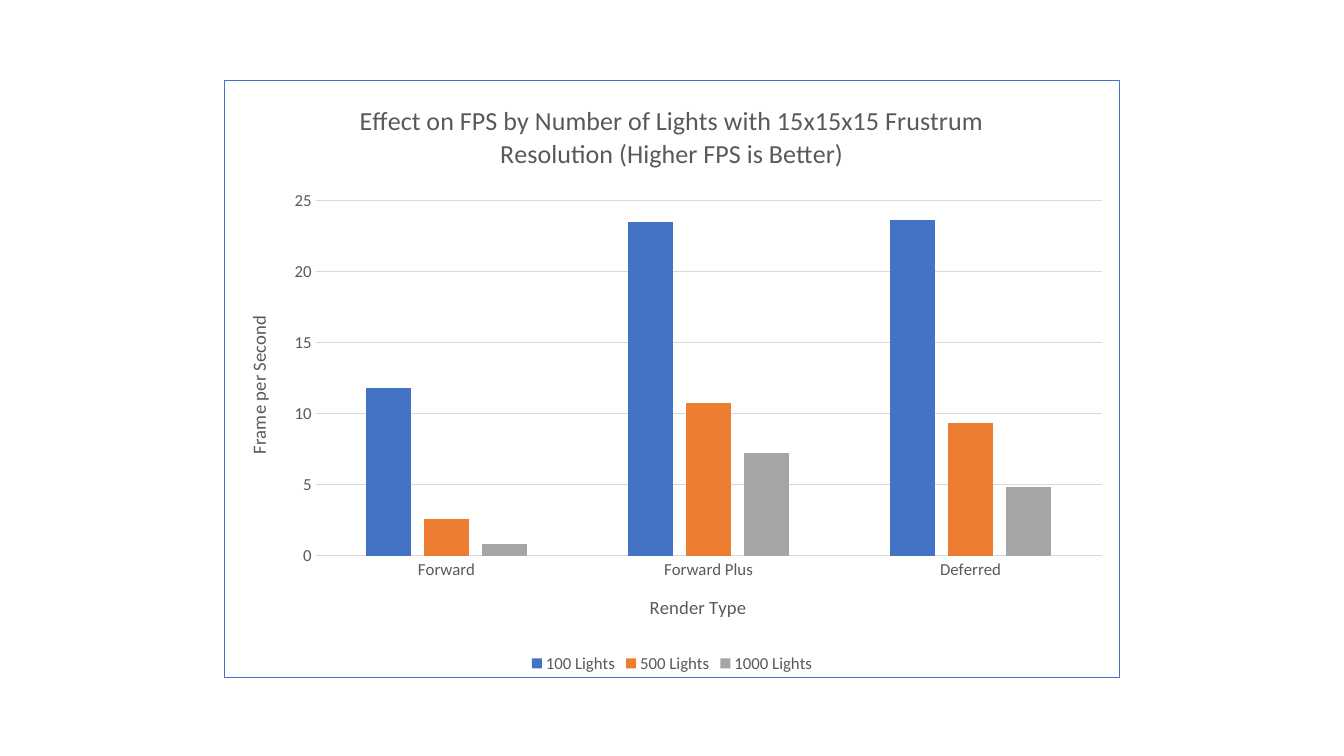
from lxml import etree
from pptx import Presentation
from pptx import util as u
from pptx.chart.data import CategoryChartData
from pptx.dml.color import RGBColor
from pptx.enum import chart as ch
from pptx.oxml import parse_xml

PX = 9071  # EMU per px, at 100.8 px to the inch
FONT = "Calibri"
BLUE = RGBColor(0x44, 0x72, 0xC4)
ORANGE = RGBColor(0xED, 0x7D, 0x31)
GREY = RGBColor(0xA5, 0xA5, 0xA5)
TEXT = RGBColor(0x59, 0x59, 0x59)
GRID = RGBColor(0xD9, 0xD9, 0xD9)
THIN = u.Pt(0.75)

TITLE = ("Effect on FPS by Number of Lights with 15x15x15 Frustrum "
         "Resolution (Higher FPS is Better)")
RENDER_TYPES = ["Forward", "Forward Plus", "Deferred"]
LIGHTS = [
    ("100 Lights", [11.8, 23.5, 23.6], BLUE),
    ("500 Lights", [2.6, 10.7, 9.3], ORANGE),
    ("1000 Lights", [0.8, 7.2, 4.8], GREY),
]


def style_font(font, size):
    font.name = FONT
    font.size = u.Pt(size)
    font.bold = False
    font.color.rgb = TEXT


def style_line(line, color):
    line.color.rgb = color
    line.width = THIN


def set_title(owner, words, size):
    """Title a chart or an axis."""
    tf = owner.chart_title.text_frame if hasattr(owner, "chart_title") else owner.axis_title.text_frame
    tf.text = words
    style_font(tf.paragraphs[0].runs[0].font, size)


def add_border(chart, color):
    """Outline the whole chart area on a white ground."""
    ns = ('xmlns:c="http://schemas.openxmlformats.org/drawingml/2006/chart" '
          'xmlns:a="http://schemas.openxmlformats.org/drawingml/2006/main"')
    border = parse_xml(
        f'<c:spPr {ns}><a:solidFill><a:srgbClr val="FFFFFF"/></a:solidFill>'
        f'<a:ln w="{THIN}"><a:solidFill><a:srgbClr val="{color}"/></a:solidFill></a:ln></c:spPr>')
    plot_part = next(e for e in chart.element if etree.QName(e).localname == "chart")
    plot_part.addnext(border)


def add_fps_chart(s, x, y, w, h):
    data = CategoryChartData()
    data.categories = RENDER_TYPES
    for name, values, _ in LIGHTS:
        data.add_series(name, values)
    frame = s.shapes.add_chart(ch.XL_CHART_TYPE.COLUMN_CLUSTERED,
                               x * PX, y * PX, w * PX, h * PX, data)
    chart = frame.chart
    style_font(chart.font, 12)
    set_title(chart, TITLE, 18.6)
    chart.chart_title.include_in_layout = False
    add_border(chart, BLUE)

    # Columns
    plot = chart.plots[0]
    plot.gap_width = 219
    plot.overlap = -27
    plot.vary_by_categories = False
    for series, (_, _, color) in zip(plot.series, LIGHTS):
        series.format.fill.solid()
        series.format.fill.fore_color.rgb = color

    # Axes
    for axis, words in ((chart.category_axis, "Render Type"),
                        (chart.value_axis, "Frame per Second")):
        set_title(axis, words, 13.3)
        style_font(axis.tick_labels.font, 12)
        axis.major_tick_mark = axis.minor_tick_mark = ch.XL_TICK_MARK.NONE
    style_line(chart.category_axis.format.line, GRID)
    fps = chart.value_axis
    fps.minimum_scale, fps.maximum_scale, fps.major_unit = 0, 25, 5
    fps.format.line.fill.background()
    fps.has_major_gridlines = True
    style_line(fps.major_gridlines.format.line, GRID)

    # Legend
    chart.has_legend = True
    chart.legend.position = ch.XL_LEGEND_POSITION.BOTTOM
    chart.legend.include_in_layout = False
    style_font(chart.legend.font, 12)


def main():
    prs = Presentation()
    prs.slide_width, prs.slide_height = 1344 * PX, 756 * PX
    s = prs.slides.add_slide(prs.slide_layouts[6])
    add_fps_chart(s, 224, 80, 896, 598)
    prs.save("out.pptx")


if __name__ == "__main__":
    main()
